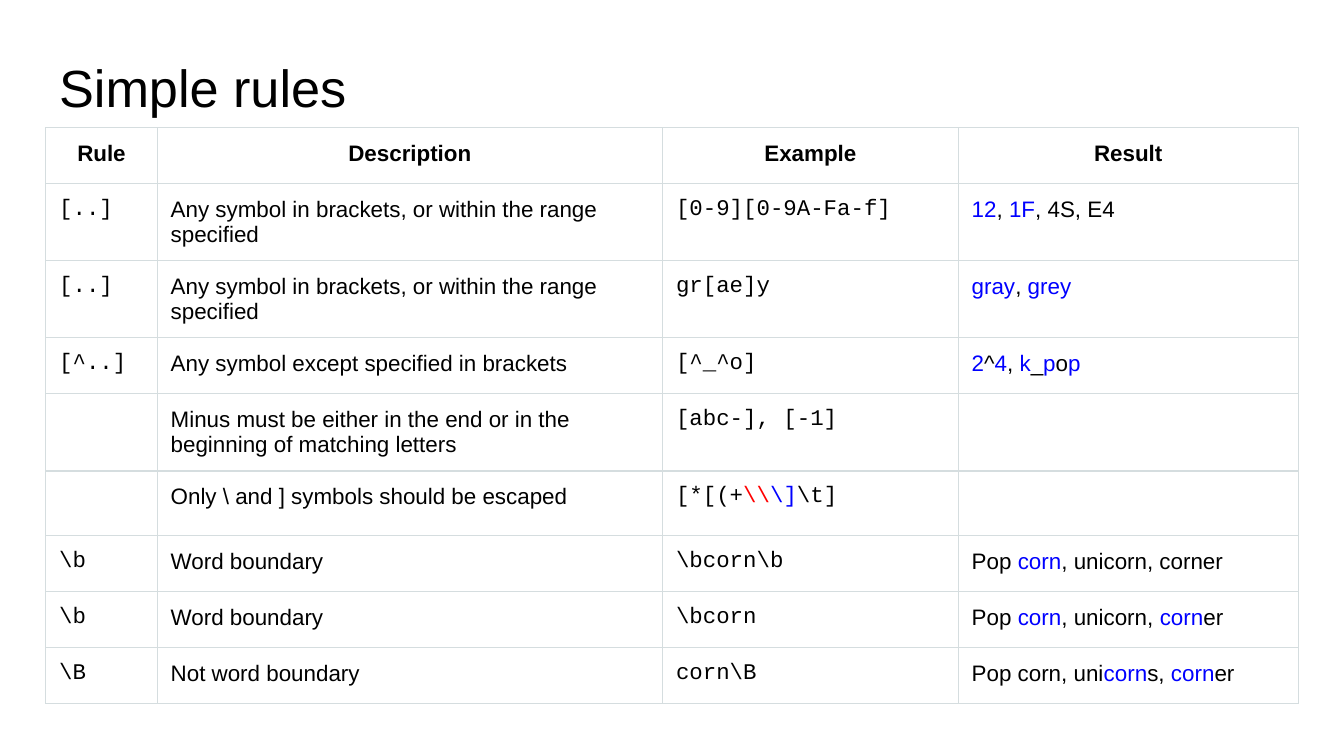
from dataclasses import dataclass

from lxml.etree import SubElement
from pptx import Presentation
from pptx.dml.color import RGBColor
from pptx.enum.text import MSO_ANCHOR, PP_ALIGN
from pptx.oxml.ns import qn
from pptx.table import Table, _Cell
from pptx.text.text import TextFrame
from pptx.util import Inches, Pt

BLACK = RGBColor(0x00, 0x00, 0x00)
BLUE = RGBColor(0x00, 0x00, 0xFF)
RED = RGBColor(0xFF, 0x00, 0x00)
BORDER = RGBColor(0xD5, 0xDD, 0xDF)
SANS = "Arial"
MONO = "Courier New"

SLIDE_WIDTH = Inches(10)
SLIDE_HEIGHT = SLIDE_WIDTH * 9 // 16
MARGIN = Inches(0.34)
TITLE_TOP = Inches(0.32)
TABLE_TOP = Inches(0.95)
CONTENT_WIDTH = SLIDE_WIDTH - 2 * MARGIN
ROW_HEIGHT = SLIDE_WIDTH // 24
INSET = Inches(0.1)
BORDER_WIDTH = Pt(0.75)
COLUMN_WIDTHS = (0.83, 3.76, 2.2, 2.53)
COLUMN_FONTS = (MONO, SANS, MONO, SANS)
HEADINGS = ("Rule", "Description", "Example", "Result")


@dataclass(frozen=True)
class Span:
    text: str
    color: RGBColor = BLACK


@dataclass(frozen=True)
class Rule:
    pattern: str
    description: str
    example: tuple[Span, ...]
    result: tuple[Span, ...] = ()

    def cells(self) -> tuple[tuple[Span, ...], ...]:
        return plain(self.pattern), plain(self.description), self.example, self.result


def plain(text: str) -> tuple[Span, ...]:
    return (Span(text),) if text else ()


def matches(*texts: str) -> tuple[Span, ...]:
    colors = (BLACK, BLUE)
    return tuple(Span(text, colors[i % 2]) for i, text in enumerate(texts) if text)


IN_BRACKETS = "Any symbol in brackets, or within the range specified"
RULES = (
    Rule("[..]", IN_BRACKETS, plain("[0-9][0-9A-Fa-f]"),
         matches("", "12", ", ", "1F", ", 4S, E4")),
    Rule("[..]", IN_BRACKETS, plain("gr[ae]y"), matches("", "gray", ",", " grey")),
    Rule("[^..]", "Any symbol except specified in brackets", plain("[^_^o]"),
         matches("", "2", "^", "4", ", ", "k", "_", "p", "o", "p")),
    Rule("", "Minus must be either in the end or in the beginning of matching letters",
         plain("[abc-], [-1]")),
    Rule("", r"Only \ and ] symbols should be escaped",
         (Span("[*[(+"), Span(r"\\", RED), Span(r"\]", BLUE), Span(r"\t]"))),
    Rule(r"\b", "Word boundary", plain(r"\bcorn\b"),
         matches("Pop ", "corn", ", unicorn, corner")),
    Rule(r"\b", "Word boundary", plain(r"\bcorn"),
         matches("Pop ", "corn", ", unicorn, ", "corn", "er")),
    Rule(r"\B", "Not word boundary", plain(r"corn\B"),
         matches("Pop corn, uni", "corn", "s, ", "corn", "er")),
)


def write_spans(frame: TextFrame, spans: tuple[Span, ...], font: str, size: int,
                bold: bool = False) -> None:
    paragraph = frame.paragraphs[0]
    for span in spans:
        run = paragraph.add_run()
        run.text = span.text
        run.font.name = font
        run.font.size = Pt(size)
        run.font.bold = bold
        run.font.color.rgb = span.color
    if not spans:
        ending = SubElement(paragraph._p, qn("a:endParaRPr"))
        SubElement(ending, qn("a:latin"), typeface=SANS)


def format_cell(cell: _Cell) -> None:
    cell.margin_left = cell.margin_right = INSET
    cell.margin_top = cell.margin_bottom = INSET
    properties = cell._tc.get_or_add_tcPr()
    for side in ("a:lnL", "a:lnR", "a:lnT", "a:lnB"):
        line = SubElement(properties, qn(side), w=str(BORDER_WIDTH))
        solid = SubElement(line, qn("a:solidFill"))
        SubElement(solid, qn("a:srgbClr"), val=str(BORDER))
    cell.fill.background()


def fill_table(table: Table) -> None:
    table.first_row = False
    table.horz_banding = False
    for column, width in zip(table.columns, COLUMN_WIDTHS):
        column.width = Inches(width)
    for index, heading in enumerate(HEADINGS):
        cell = table.cell(0, index)
        format_cell(cell)
        write_spans(cell.text_frame, plain(heading), SANS, 12, bold=True)
        cell.text_frame.paragraphs[0].alignment = PP_ALIGN.CENTER
    for row, rule in enumerate(RULES, start=1):
        for index, (spans, font) in enumerate(zip(rule.cells(), COLUMN_FONTS)):
            cell = table.cell(row, index)
            format_cell(cell)
            write_spans(cell.text_frame, spans, font, 12)


def main() -> None:
    deck = Presentation()
    deck.slide_width, deck.slide_height = SLIDE_WIDTH, SLIDE_HEIGHT
    page = deck.slides.add_slide(deck.slide_layouts[5])

    title = page.shapes.title
    title.left, title.top = MARGIN, TITLE_TOP
    title.width, title.height = CONTENT_WIDTH, TABLE_TOP - TITLE_TOP
    frame = title.text_frame
    frame.margin_left = frame.margin_right = frame.margin_top = INSET
    frame.margin_bottom = Inches(0.07)
    frame.vertical_anchor = MSO_ANCHOR.BOTTOM
    write_spans(frame, plain("Simple rules"), SANS, 28)
    frame.paragraphs[0].alignment = PP_ALIGN.LEFT

    row_count = len(RULES) + 1
    grid = page.shapes.add_table(row_count, len(HEADINGS), MARGIN, TABLE_TOP,
                                 CONTENT_WIDTH, row_count * ROW_HEIGHT)
    fill_table(grid.table)
    deck.save("out.pptx")


if __name__ == "__main__":
    main()
